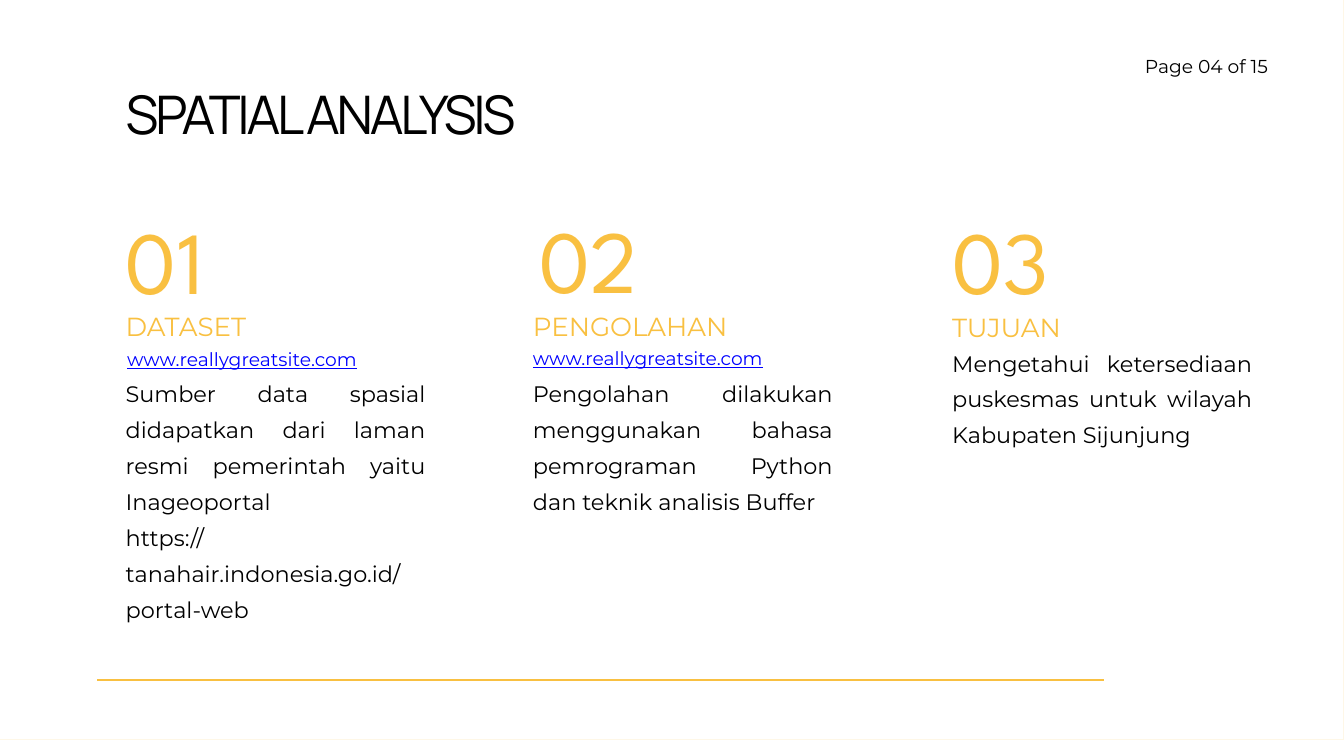
from dataclasses import dataclass

from lxml import etree
from pptx import Presentation
from pptx.dml.color import RGBColor
from pptx.enum import shapes, text
from pptx.oxml.ns import qn
from pptx.util import Inches, Pt


@dataclass(frozen=True)
class Theme:
    accent: str = "F9C041"
    ink: str = "000000"
    link: str = "0000FF"
    body_font: str = "Montserrat"
    title_font: str = "Manrope"
    number_font: str = "League Spartan"
    small_size: float = 20
    body_size: float = 24
    heading_size: float = 28
    title_size: float = 57
    number_size: float = 95


@dataclass(frozen=True)
class Box:
    left: float
    top: float
    width: float
    height: float


@dataclass(frozen=True)
class Column:
    number: str
    number_box: Box
    heading: str
    heading_box: Box
    body: tuple[str, ...]
    body_box: Box
    link_box: Box | None = None
    link_align: text.PP_ALIGN = text.PP_ALIGN.LEFT


THEME = Theme()
SLIDE_WIDTH, SLIDE_HEIGHT = 20, 11.25
BORDER = 0.05
LINK_TEXT = "www.reallygreatsite.com"

COLUMNS = (
    Column(
        "01", Box(1.87, 3.06, 3.22, 1.56),
        "DATASET", Box(1.87, 4.62, 3.22, 0.45),
        ("Sumber data spasial didapatkan dari laman resmi pemerintah yaitu Inageoportal",
         "https://tanahair.indonesia.go.id/portal-web"),
        Box(1.87, 5.53, 4.46, 3.15),
        Box(1.87, 5.12, 3.46, 0.36), text.PP_ALIGN.CENTER,
    ),
    Column(
        "02", Box(8.03, 3.05, 2.98, 1.56),
        "PENGOLAHAN", Box(7.93, 4.62, 4.26, 0.45),
        ("Pengolahan dilakukan menggunakan bahasa pemrograman Python "
         "dan teknik analisis Buffer",),
        Box(7.93, 5.53, 4.46, 2.09),
        Box(7.93, 5.1, 3.64, 0.36),
    ),
    Column(
        "03", Box(14.17, 3.06, 2.98, 1.56),
        "TUJUAN", Box(14.17, 4.64, 4.51, 0.45),
        ("Mengetahui ketersediaan puskesmas untuk wilayah Kabupaten Sijunjung",),
        Box(14.17, 5.07, 4.46, 1.55),
    ),
)


def write_text(shape, *lines: str, size: float, line_height: float,
               font: str = THEME.body_font, color: str = THEME.ink,
               align: text.PP_ALIGN = text.PP_ALIGN.LEFT,
               underline: bool = False, tracking: float = 0) -> None:
    """Fill a shape with one paragraph per line; line height and tracking are points."""
    frame = shape.text_frame
    frame.margin_left = frame.margin_top = frame.margin_right = frame.margin_bottom = 0
    frame.word_wrap = True
    frame.auto_size = text.MSO_AUTO_SIZE.SHAPE_TO_FIT_TEXT
    frame.vertical_anchor = text.MSO_ANCHOR.TOP
    for index, line in enumerate(lines):
        paragraph = frame.paragraphs[0] if index == 0 else frame.add_paragraph()
        paragraph.alignment = align
        paragraph.line_spacing = Pt(line_height)
        paragraph.space_before = Pt(0)
        run = paragraph.add_run()
        run.text = line
        run.font.name = font
        run.font.size = Pt(size)
        run.font.color.rgb = RGBColor.from_string(color)
        if underline:
            run.font.underline = True
        if tracking:
            run.font._element.set("spc", str(round(tracking * 100)))


def place(shape, box: Box) -> None:
    shape.left, shape.top = Inches(box.left), Inches(box.top)
    shape.width, shape.height = Inches(box.width), Inches(box.height)


def add_text(slide, box: Box, *lines: str, **text_format) -> None:
    shape = slide.shapes.add_textbox(0, 0, 0, 0)
    place(shape, box)
    write_text(shape, *lines, **text_format)


def add_border(slide) -> None:
    right, bottom = SLIDE_WIDTH - BORDER, SLIDE_HEIGHT - BORDER
    builder = slide.shapes.build_freeform(0, 0, scale=Inches(1))
    builder.add_line_segments(
        [(0, SLIDE_HEIGHT), (SLIDE_WIDTH, SLIDE_HEIGHT), (SLIDE_WIDTH, 0)])
    builder.move_to(right, bottom)
    builder.add_line_segments([(BORDER, bottom), (BORDER, BORDER), (right, BORDER)])
    border = builder.convert_to_shape()
    border.shadow.inherit = False
    border.fill.solid()
    border.fill.fore_color.rgb = RGBColor.from_string(THEME.accent)
    border.line.fill.background()


def add_footer_rule(slide) -> None:
    rule = slide.shapes.add_connector(
        shapes.MSO_CONNECTOR.STRAIGHT,
        Inches(1.45), Inches(10.12), Inches(16.43), Inches(10.12))
    rule.line.color.rgb = RGBColor.from_string(THEME.accent)
    rule.line.width = Pt(1.5)
    etree.SubElement(rule._element.spPr, qn("a:effectLst"))


def add_column(slide, column: Column) -> None:
    add_text(slide, column.number_box, column.number, size=THEME.number_size,
             line_height=114, font=THEME.number_font, color=THEME.accent)
    add_text(slide, column.heading_box, column.heading, size=THEME.heading_size,
             line_height=33.6, color=THEME.accent)
    if column.link_box:
        add_text(slide, column.link_box, LINK_TEXT, size=THEME.small_size, line_height=28,
                 color=THEME.link, align=column.link_align, underline=True)
    add_text(slide, column.body_box, *column.body, size=THEME.body_size,
             line_height=38.4, align=text.PP_ALIGN.JUSTIFY)


def main() -> None:
    presentation = Presentation()
    presentation.slide_width = Inches(SLIDE_WIDTH)
    presentation.slide_height = Inches(SLIDE_HEIGHT)
    title_only = presentation.slide_layouts.get_by_name("Title Only")
    slide = presentation.slides.add_slide(title_only)

    add_border(slide)
    add_footer_rule(slide)
    add_text(slide, Box(16.7, 0.76, 2.17, 0.36), "Page 04 of 15", size=THEME.small_size,
             line_height=28, align=text.PP_ALIGN.RIGHT)
    title = slide.shapes.title
    place(title, Box(1.87, 1.32, 12.19, 0.93))
    write_text(title, "SPATIAL ANALYSIS", size=THEME.title_size, line_height=60.4,
               font=THEME.title_font, tracking=-3.4)
    for column in COLUMNS:
        add_column(slide, column)

    presentation.save("out.pptx")


if __name__ == "__main__":
    main()
